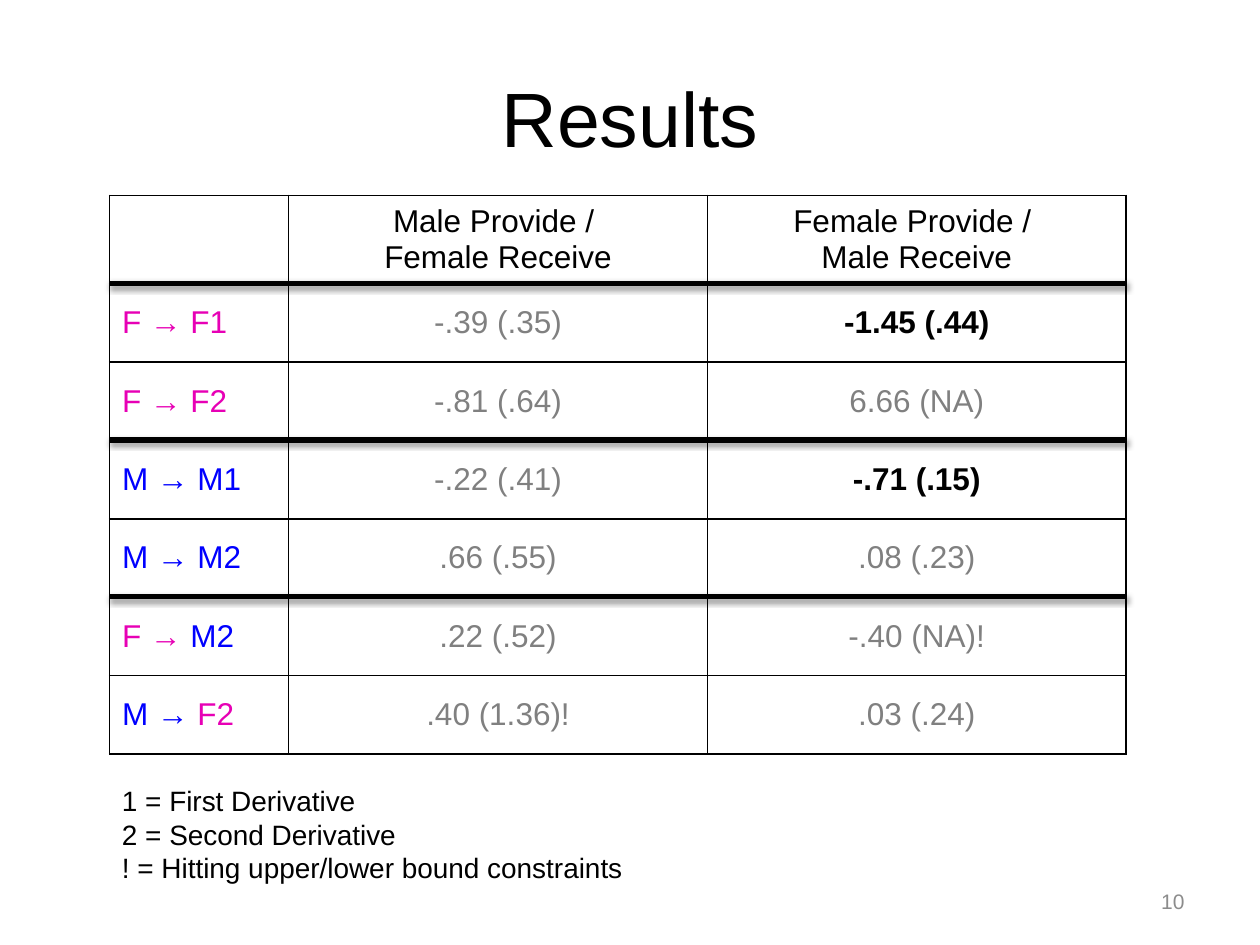
"""Build a results slide with a table of estimates, section rules and a legend."""
from lxml import etree
from pptx import Presentation
from pptx.dml.color import RGBColor
from pptx.enum.shapes import MSO_CONNECTOR
from pptx.enum.text import MSO_ANCHOR, PP_ALIGN
from pptx.oxml import parse_xml
from pptx.oxml.ns import nsdecls
from pptx.util import Cm, Pt

LEFT, CENTER, RIGHT = PP_ALIGN.LEFT, PP_ALIGN.CENTER, PP_ALIGN.RIGHT
TOP, MIDDLE = MSO_ANCHOR.TOP, MSO_ANCHOR.MIDDLE
STRAIGHT = MSO_CONNECTOR.STRAIGHT
FONT = "Arial"
COLORS = {
    "black": "000000",
    "female": "E700B5",
    "male": "0000FF",
    "estimate": "808080",
    "number": "8C8C8C",
}
HEADER = ["", "Male Provide / \nFemale Receive", "Female Provide / \nMale Receive"]
ROWS = [
    ("F", "F1", "-.39 (.35)", "-1.45 (.44)"),
    ("F", "F2", "-.81 (.64)", "6.66 (NA)"),
    ("M", "M1", "-.22 (.41)", "-.71 (.15)"),
    ("M", "M2", ".66 (.55)", ".08 (.23)"),
    ("F", "M2", ".22 (.52)", "-.40 (NA)!"),
    ("M", "F2", ".40 (1.36)!", ".03 (.24)"),
]
SIGNIFICANT = {"-1.45 (.44)", "-.71 (.15)"}
LEGEND = """1 = First Derivative
2 = Second Derivative
! = Hitting upper/lower bound constraints"""
COLUMN_WIDTHS = [3.61, 8.44, 8.44]
HEADER_HEIGHT, ROW_HEIGHT = 1.7, 1.58
RULE_OFFSET = 0.07


def style_run(run, size, color, bold=False):
    """Set the font of one run."""
    run.font.name = FONT
    run.font.size = Pt(size)
    run.font.bold = bold
    run.font.color.rgb = RGBColor.from_string(COLORS[color])


def write(frame, text, size, color, align, bold=False):
    """Fill a text frame with evenly styled paragraphs."""
    frame.text = text
    for paragraph in frame.paragraphs:
        paragraph.alignment = align
        for run in paragraph.runs:
            style_run(run, size, color, bold)


def add_text(slide, box, text, size, color, align, anchor):
    """Place a wrapped text box."""
    frame = slide.shapes.add_textbox(*map(Cm, box)).text_frame
    frame.word_wrap = True
    frame.vertical_anchor = anchor
    write(frame, text, size, color, align)


def write_path(frame, source, target):
    """Write a path label, coloured by the sex of each end."""
    paragraph = frame.paragraphs[0]
    for text in (f"{source} → ", target):
        run = paragraph.add_run()
        run.text = text
        style_run(run, 18, "female" if text[0] == "F" else "male")


def frame_cell(cell):
    """Give a cell thin black borders and no fill."""
    properties = cell._tc.get_or_add_tcPr()
    for side in ("lnL", "lnR", "lnT", "lnB"):
        properties.append(parse_xml(
            f'<a:{side} {nsdecls("a")} w="12700"><a:solidFill>'
            f'<a:srgbClr val="{COLORS["black"]}"/></a:solidFill></a:{side}>'))
    cell.fill.background()
    cell.vertical_anchor = MIDDLE


def add_results(slide, left, top):
    """Place the table of estimates."""
    width = sum(COLUMN_WIDTHS)
    height = HEADER_HEIGHT + ROW_HEIGHT * len(ROWS)
    table = slide.shapes.add_table(
        len(ROWS) + 1, len(HEADER), Cm(left), Cm(top), Cm(width), Cm(height)).table
    table.first_row = table.horz_banding = False
    for column, column_width in zip(table.columns, COLUMN_WIDTHS):
        column.width = Cm(column_width)
    for index, row in enumerate(table.rows):
        row.height = Cm(ROW_HEIGHT if index else HEADER_HEIGHT)
    for cell in table.iter_cells():
        frame_cell(cell)
    for column, heading in enumerate(HEADER):
        write(table.cell(0, column).text_frame, heading, 18, "black", CENTER)
    for index, (source, target, *estimates) in enumerate(ROWS, 1):
        write_path(table.cell(index, 0).text_frame, source, target)
        for column, estimate in enumerate(estimates, 1):
            bold = estimate in SIGNIFICANT
            write(table.cell(index, column).text_frame, estimate, 18,
                  "black" if bold else "estimate", CENTER, bold)


def add_rules(slide, left, top):
    """Place a heavy shadowed rule above each pair of rows."""
    right = left + sum(COLUMN_WIDTHS)
    for first_row in range(0, len(ROWS), 2):
        y = top + HEADER_HEIGHT + first_row * ROW_HEIGHT + RULE_OFFSET
        rule = slide.shapes.add_connector(STRAIGHT, Cm(left), Cm(y), Cm(right), Cm(y))
        rule.line.width = Pt(3)
        rule.line.color.rgb = RGBColor.from_string(COLORS["black"])
        effects = parse_xml(
            f'<a:effectLst {nsdecls("a")}><a:outerShdw blurRad="39370" dist="20320" '
            'dir="5400000" rotWithShape="0"/></a:effectLst>')
        shade = etree.SubElement(effects[0], effects[0].tag.replace("outerShdw", "srgbClr"),
                                 val=COLORS["black"])
        etree.SubElement(shade, shade.tag.replace("srgbClr", "alpha"), val="38000")
        rule._element.spPr.append(effects)


def main():
    """Build and save the slide."""
    deck = Presentation()
    deck.slide_width, deck.slide_height = Cm(25.4), Cm(19.05)
    slide = deck.slides.add_slide(deck.slide_layouts[6])
    left, top = 2.21, 3.94
    add_text(slide, (1.27, 0.76, 22.86, 3.18), "Results", 44, "black", CENTER, MIDDLE)
    add_results(slide, left, top)
    add_rules(slide, left, top)
    add_text(slide, (left, 15.67, 17.02, 2.31), LEGEND, 16, "black", LEFT, TOP)
    add_text(slide, (18.2, 17.65, 5.93, 1.02), "10", 12, "number", RIGHT, MIDDLE)
    deck.save("out.pptx")


if __name__ == "__main__":
    main()
